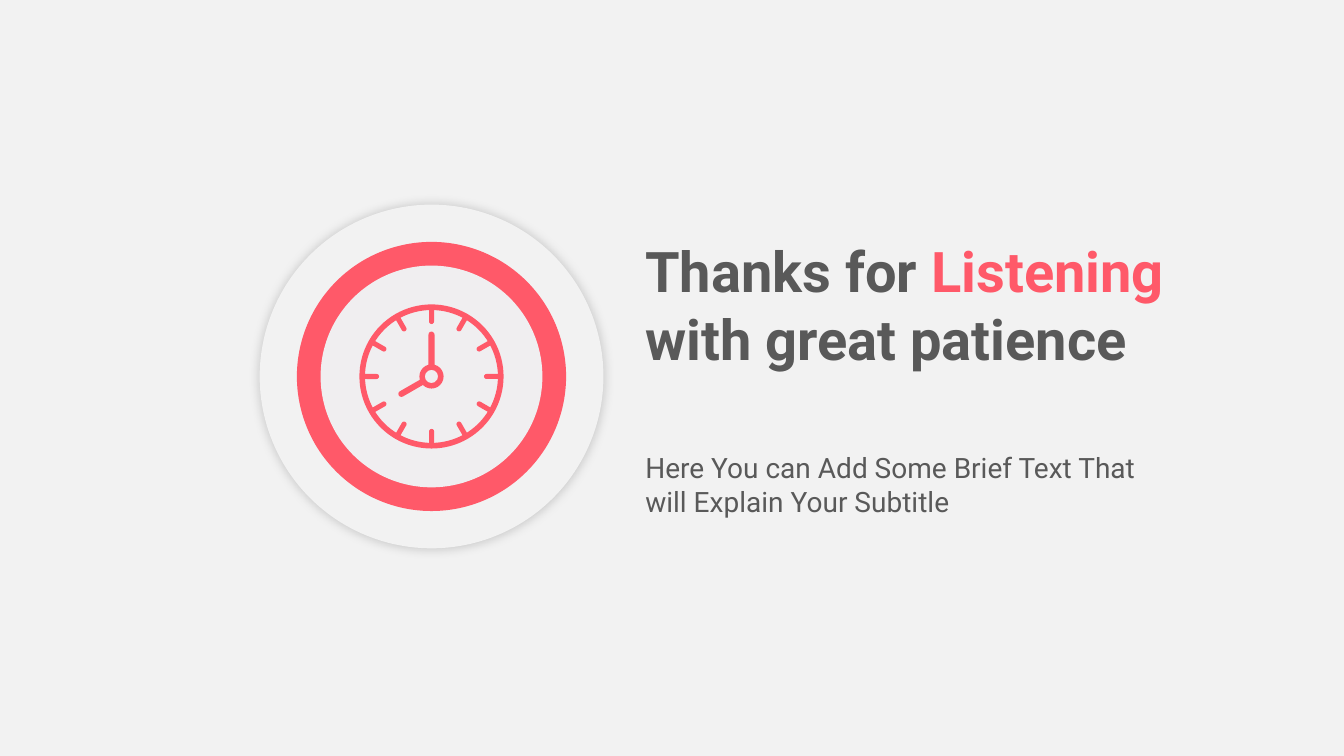
from dataclasses import dataclass
from math import cos, radians, sin

from lxml.etree import SubElement
from pptx import Presentation
from pptx.dml.color import RGBColor
from pptx.enum.shapes import MSO_SHAPE
from pptx.enum.text import MSO_ANCHOR, MSO_AUTO_SIZE, PP_ALIGN
from pptx.oxml.ns import qn
from pptx.util import Inches, Pt


@dataclass(frozen=True)
class Theme:
    font: str = "Roboto"
    background: str = "F2F2F2"
    accent: str = "FF5969"
    face: str = "F0EEF0"
    text: str = "595959"
    title_size: int = 40
    subtitle_size: int = 20


THEME = Theme()

TITLE = [
    ("Thanks for ", THEME.text),
    ("Listening ", THEME.accent),
    ("with great patience", THEME.text),
]
SUBTITLE = [("Here You can Add Some Brief Text That will Explain Your Subtitle", THEME.text)]

SLIDE_WIDTH, SLIDE_HEIGHT = 13.33, 7.5
TEXT_LEFT, TEXT_WIDTH = 6.3, 5.44
TITLE_TOP, TITLE_HEIGHT, SUBTITLE_HEIGHT = 2.3, 2.12, 0.77

CENTER_X, CENTER_Y = 4.28, 3.735
DISCS = [(3.41, THEME.background), (2.67, THEME.accent), (2.2, THEME.face)]
RINGS = [(1.43, 0.039), (0.24, 0.226)]  # diameter, thickness share
TICK_COUNT, TICK_WIDTH, TICK_LENGTH, TICK_RADIUS = 12, 0.05, 0.17, 0.605
HANDS = [(240, 0.29, 0.23), (0, 0.34, 0.275)]  # angle, length, radius of middle
HAND_WIDTH = 0.06


def add_clock_part(slide, preset, width, height, color, adjustments=(), angle=0, radius=0):
    """Place a shape around the clock centre; angle runs clockwise from twelve."""
    middle_x = CENTER_X + radius * sin(radians(angle))
    middle_y = CENTER_Y - radius * cos(radians(angle))
    shape = slide.shapes.add_shape(
        preset, Inches(middle_x - width / 2), Inches(middle_y - height / 2),
        Inches(width), Inches(height))
    shape.rotation = angle
    shape.shadow.inherit = False
    shape.fill.solid()
    shape.fill.fore_color.rgb = RGBColor.from_string(color)
    shape.line.fill.background()
    for index, value in enumerate(adjustments):
        shape.adjustments[index] = value
    return shape


def add_soft_shadow(shape):
    effects = shape._element.spPr.find(qn("a:effectLst"))
    shadow = SubElement(effects, qn("a:outerShdw"), blurRad=str(Pt(8)), dist="0",
                        dir="0", algn="ctr", rotWithShape="0")
    color = SubElement(shadow, qn("a:srgbClr"), val="000000")
    SubElement(color, qn("a:alpha"), val="20000")


def fill_placeholder(placeholder, runs, top, height, size, bold):
    placeholder.left, placeholder.top = Inches(TEXT_LEFT), Inches(top)
    placeholder.width, placeholder.height = Inches(TEXT_WIDTH), Inches(height)
    frame = placeholder.text_frame
    frame.word_wrap = True
    frame.auto_size = MSO_AUTO_SIZE.NONE
    frame.vertical_anchor = MSO_ANCHOR.TOP
    paragraph = frame.paragraphs[0]
    paragraph.alignment = PP_ALIGN.LEFT
    paragraph.space_before = Pt(0)
    paragraph.font.name = THEME.font
    paragraph.font.size = Pt(size)
    paragraph.font.bold = bold
    for text, color in runs:
        run = paragraph.add_run()
        run.text = text
        run.font.color.rgb = RGBColor.from_string(color)


def add_clock(slide):
    discs = [add_clock_part(slide, MSO_SHAPE.OVAL, diameter, diameter, color)
             for diameter, color in DISCS]
    add_soft_shadow(discs[0])
    for tick in range(TICK_COUNT):
        add_clock_part(slide, MSO_SHAPE.ROUNDED_RECTANGLE, TICK_WIDTH, TICK_LENGTH,
                       THEME.accent, [0.5], tick * 360 / TICK_COUNT, TICK_RADIUS)
    for diameter, thickness in RINGS:
        add_clock_part(slide, MSO_SHAPE.DONUT, diameter, diameter, THEME.accent, [thickness])
    for angle, length, radius in HANDS:
        add_clock_part(slide, MSO_SHAPE.ROUND_2_SAME_RECTANGLE, HAND_WIDTH, length,
                       THEME.accent, [0.5, 0], angle, radius)


def main():
    presentation = Presentation()
    presentation.slide_width = Inches(SLIDE_WIDTH)
    presentation.slide_height = Inches(SLIDE_HEIGHT)
    slide = presentation.slides.add_slide(presentation.slide_layouts[0])
    slide.background.fill.solid()
    slide.background.fill.fore_color.rgb = RGBColor.from_string(THEME.background)
    fill_placeholder(slide.shapes.title, TITLE, TITLE_TOP, TITLE_HEIGHT,
                     THEME.title_size, True)
    fill_placeholder(slide.placeholders[1], SUBTITLE, TITLE_TOP + TITLE_HEIGHT,
                     SUBTITLE_HEIGHT, THEME.subtitle_size, False)
    add_clock(slide)
    presentation.save("out.pptx")


if __name__ == "__main__":
    main()
